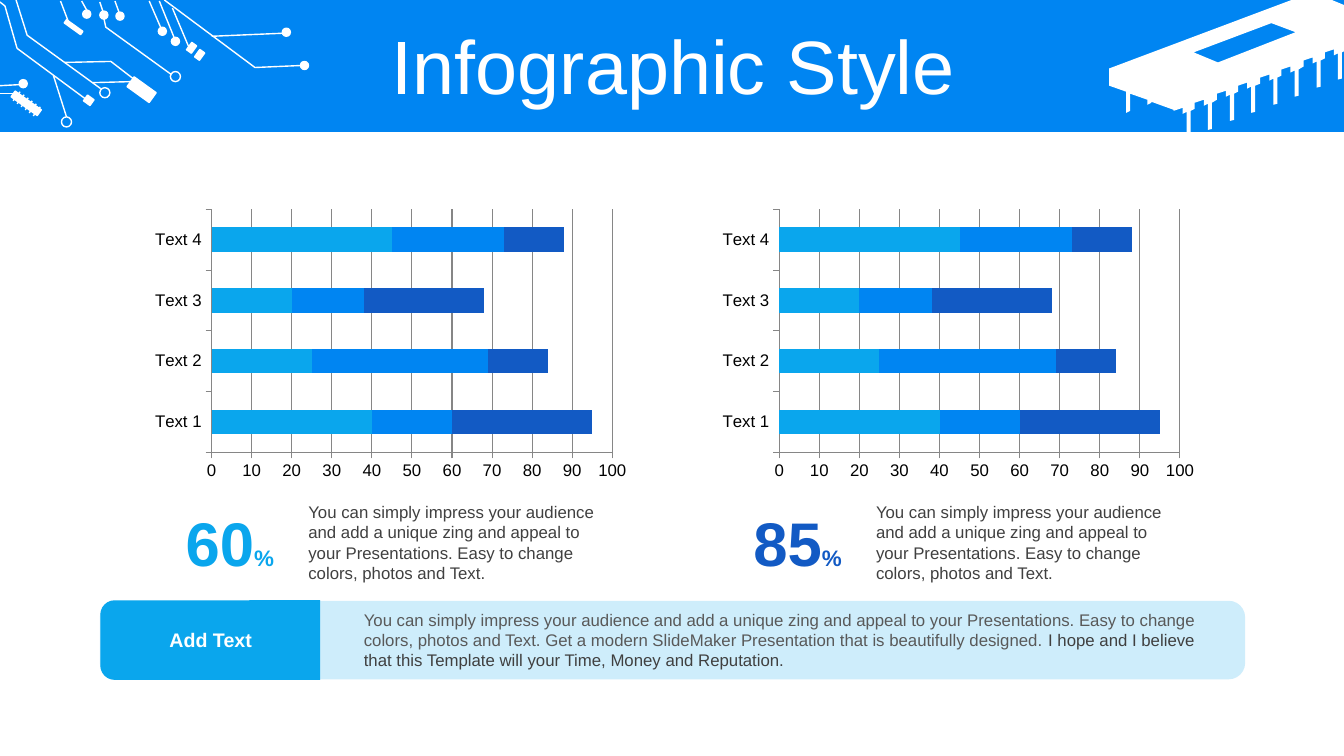
"""Build an infographic slide with two stacked bar charts and a circuit banner."""
from lxml import etree
from pptx import Presentation, util as u
from pptx.chart.data import CategoryChartData
from pptx.dml.color import RGBColor
from pptx.enum import chart as charts, shapes as kinds, text as texts
from pptx.oxml.ns import qn

THEME = {
    "font": "Arial", "white": "FFFFFF", "black": "000000", "grid": "868686",
    "sky": "0AA6ED", "blue": "0085F2", "navy": "125AC4", "dark": "404040", "grey": "595959",
    "title": 54, "number": 44, "percent": 16, "label": 14, "body": 12,
}
TITLE = "Infographic Style"
BLURB = ("You can simply impress your audience and add a unique zing and appeal to "
         "your Presentations. Easy to change colors, photos and Text.")
FOOTER = [
    (BLURB + " Get a modern SlideMaker Presentation that is beautifully designed. ", "grey"),
    ("I hope and I believe that this Template will your Time, Money and Reputation.", "dark"),
]
CATEGORIES = ["Text 1", "Text 2", "Text 3", "Text 4"]
SERIES = [
    ("Series 1", (40, 25, 20, 45), "sky"),
    ("Series 2", (20, 44, 18, 28), "blue"),
    ("Series 3", (35, 15, 30, 15), "navy"),
]
PANELS = [(1.44, "60", "sky"), (7.07, "85", "navy")]

TILT = 35.7
DOT, RING = 0.08, 0.1
DOTS = [(2.98, 0.61), (2.8, 0.28), (0.82, 0.1), (0.99, 0.11), (1.15, 0.12),
        (0.19, 0.79), (1.7, 0.37), (1.57, 0.27)]
RINGS = [(1.69, 0.71), (0.99, 0.87), (0.61, 1.16)]
PARTS = [(1.27, 0.83, 0.27, 0.12), (0.63, 0.25, 0.2, 0.04), (0.84, 0.96, 0.08, 0.07),
         (1.87, 0.43, 0.06, 0.09), (1.95, 0.5, 0.06, 0.09), (0.1, 0.99, 0.32, 0.07)]
WIRES = [(0.6, 0.01, 0.68, 0.22), (0.81, 0.01, 0.86, 0.1), (0.99, 0.02, 1.02, 0.11),
         (1.14, 0.01, 1.18, 0.12), (1.48, 0.01, 1.61, 0.31), (1.58, 0.01, 1.73, 0.38),
         (2.1, 0.36, 2.8, 0.33), (1.71, 0.08, 1.87, 0.46), (0, 0.85, 0.19, 0.84),
         (0, 0.93, 0.14, 0.93), (0.53, 0.75, 0.66, 1.16), (0.92, 0.82, 1.3, 0.81)]
TRACES = [
    [(1.63, 0), (2.53, 0.67), (2.99, 0.65)],
    [(0.16, 0), (0.27, 0.35), (1, 0.88)],
    [(0, 0.02), (0.05, 0.06), (0.17, 0.48), (0.86, 0.99)],
    [(0.64, 0.62), (1.1, 0.61), (1.32, 0.78)],
    [(1.03, 0.18), (1.05, 0.27), (1.7, 0.74)],
]
LEG, LEG_STEP, LEG_COUNT = (0.13, 1, 0.2, 0.91), (0.04, 0.03), 6

CHIP_WINDOW = [(12.61, 0.23), (11.84, 0.52), (12.08, 0.62), (12.85, 0.32)]
CHIP_TOP = [(12.81, 0), (13.21, 0), (13.33, 0.05), (13.33, 0.51)]
CHIP_LEFT = [(11.64, 1.09), (11.42, 1.01), (11.42, 1.02), (11.38, 1.04), (11.38, 0.99),
             (11.21, 0.93), (11.21, 1.1), (11.17, 1.12), (11.17, 0.91), (11, 0.85), (11, 0.68)]
PIN = [(0, 0), (0, 0.26), (-0.04, 0.27), (-0.04, 0.01),
       (-0.08, 0.03), (-0.08, -0.03), (-0.17, 0), (-0.17, 0.06)]
PIN_START, PIN_END, PIN_COUNT = (13.31, 0.52), (11.81, 1.1), 8


def color(name):
    return RGBColor.from_string(THEME[name])


def box(*lengths):
    return [u.Inches(length) for length in lengths]


def paint(shape, fill=None, line=None):
    shape.shadow.inherit = False
    if fill:
        shape.fill.solid()
        shape.fill.fore_color.rgb = color(fill)
    else:
        shape.fill.background()
    if line:
        shape.line.color.rgb = color(line)
        shape.line.width = u.Pt(1)
    else:
        shape.line.fill.background()


def add_preset(slide, kind, place, fill=None, line=None, rotation=0):
    shape = slide.shapes.add_shape(kind, *box(*place))
    shape.rotation = rotation
    paint(shape, fill, line)
    return shape


def add_outline(slide, contours, closed, fill=None, line=None):
    scaled = [[(x * 100, y * 100) for x, y in contour] for contour in contours]
    builder = slide.shapes.build_freeform(*scaled[0][0], scale=u.Inches(0.01))
    builder.add_line_segments(scaled[0][1:], close=closed)
    for contour in scaled[1:]:
        builder.move_to(*contour[0])
        builder.add_line_segments(contour[1:], close=closed)
    paint(builder.convert_to_shape(), fill, line)


def add_wire(slide, ends):
    wire = slide.shapes.add_connector(kinds.MSO_CONNECTOR.STRAIGHT, *box(*ends))
    wire.line.color.rgb = color("white")
    wire.line.width = u.Pt(1)
    etree.SubElement(wire._element.spPr, qn("a:effectLst"))


def add_text(slide, place, runs, size, ink, bold=False, centered=False):
    """Add a wrapped text box; each run is (text, size or None, ink or None)."""
    frame = slide.shapes.add_textbox(*box(*place)).text_frame
    frame.word_wrap = True
    paragraph = frame.paragraphs[0]
    paragraph.alignment = texts.PP_ALIGN.CENTER if centered else texts.PP_ALIGN.LEFT
    font = paragraph.font
    font.name, font.size, font.bold = THEME["font"], u.Pt(THEME[size]), bold
    font.color.rgb = color(ink)
    for words, run_size, run_ink in runs:
        run = paragraph.add_run()
        run.text = words
        if run_size:
            run.font.size = u.Pt(THEME[run_size])
        if run_ink:
            run.font.color.rgb = color(run_ink)
    return frame


def add_banner(slide):
    oval, rectangle = kinds.MSO_SHAPE.OVAL, kinds.MSO_SHAPE.RECTANGLE
    add_preset(slide, rectangle, (0, 0, 13.33, 1.31), "blue")
    steps = [(end - start) / (PIN_COUNT - 1) for start, end in zip(PIN_START, PIN_END)]
    pins = [(PIN_START[0] + i * steps[0] + x, PIN_START[1] + i * steps[1] + y)
            for i in range(PIN_COUNT) for x, y in PIN]
    add_outline(slide, [CHIP_WINDOW, CHIP_TOP + pins[:-1] + CHIP_LEFT], True, fill="white")
    for part in PARTS:
        add_preset(slide, rectangle, part, "white", "white", TILT)
    for x, y in DOTS:
        add_preset(slide, oval, (x, y, DOT, DOT), "white", "white")
    for x, y in RINGS:
        add_preset(slide, oval, (x, y, RING, RING), line="white")
    for trace in TRACES:
        add_outline(slide, [trace], False, line="white")
    legs = [[v + i * LEG_STEP[k % 2] for k, v in enumerate(LEG)] for i in range(LEG_COUNT)]
    for ends in WIRES + legs:
        add_wire(slide, ends)
    frame = add_text(slide, (0.35, 0.3, 12.66, 0.79), [(TITLE, None, None)],
                     "title", "white", centered=True)
    frame.vertical_anchor = texts.MSO_ANCHOR.MIDDLE
    frame.paragraphs[0].line_spacing = 0.9


def add_bars(slide, left):
    data = CategoryChartData()
    data.categories = CATEGORIES
    for name, values, _ in SERIES:
        data.add_series(name, values)
    chart = slide.shapes.add_chart(charts.XL_CHART_TYPE.BAR_STACKED,
                                   *box(left, 2.02, 4.87, 2.8), data).chart
    chart.has_legend = chart.has_title = False
    chart.font.name, chart.font.size = THEME["font"], u.Pt(THEME["body"])
    chart.font.color.rgb = color("black")
    plot = chart.plots[0]
    plot.gap_width, plot.overlap, plot.vary_by_categories = 150, 100, False
    for series, (_, _, ink) in zip(plot.series, SERIES):
        series.format.fill.solid()
        series.format.fill.fore_color.rgb = color(ink)
    scale = chart.value_axis
    scale.minimum_scale, scale.maximum_scale, scale.major_unit = 0, 100, 10
    scale.has_major_gridlines = True
    for ruled in (scale, chart.category_axis, scale.major_gridlines):
        ruled.format.line.color.rgb = color("grid")
    for axis in (scale, chart.category_axis):
        axis.major_tick_mark = charts.XL_TICK_MARK.OUTSIDE


def add_panel(slide, left, number, ink):
    add_bars(slide, left)
    add_text(slide, (left + 1.52, 4.93, 3.19, 0.91), [(BLURB, None, None)], "body", "dark")
    add_text(slide, (left + 0.16, 4.96, 1.36, 0.84),
             [(number, "number", None), ("%", "percent", None)], "number", ink, True, True)


def add_footer(slide):
    band = add_preset(slide, kinds.MSO_SHAPE.ROUNDED_RECTANGLE, (0.99, 5.96, 11.36, 0.78), "sky")
    band.adjustments[0] = 0.21
    tint = band._element.spPr.find(qn("a:solidFill"))[0]
    etree.SubElement(tint, qn("a:alpha"), val="20000")
    tab = add_preset(slide, kinds.MSO_SHAPE.ROUND_2_SAME_RECTANGLE,
                     (1.69, 5.26, 0.79, 2.18), "sky", rotation=270)
    tab.adjustments[0], tab.adjustments[1] = 0.18, 0
    add_text(slide, (1.35, 6.18, 1.48, 0.34), [("Add Text", None, None)],
             "label", "white", True, True)
    add_text(slide, (3.51, 6, 8.49, 0.71), [(words, None, ink) for words, ink in FOOTER],
             "body", "grey")


def main():
    presentation = Presentation()
    presentation.slide_width, presentation.slide_height = box(13.33, 7.5)
    slide = presentation.slides.add_slide(presentation.slide_layouts[6])
    add_banner(slide)
    for panel in PANELS:
        add_panel(slide, *panel)
    add_footer(slide)
    presentation.save("out.pptx")


if __name__ == "__main__":
    main()
